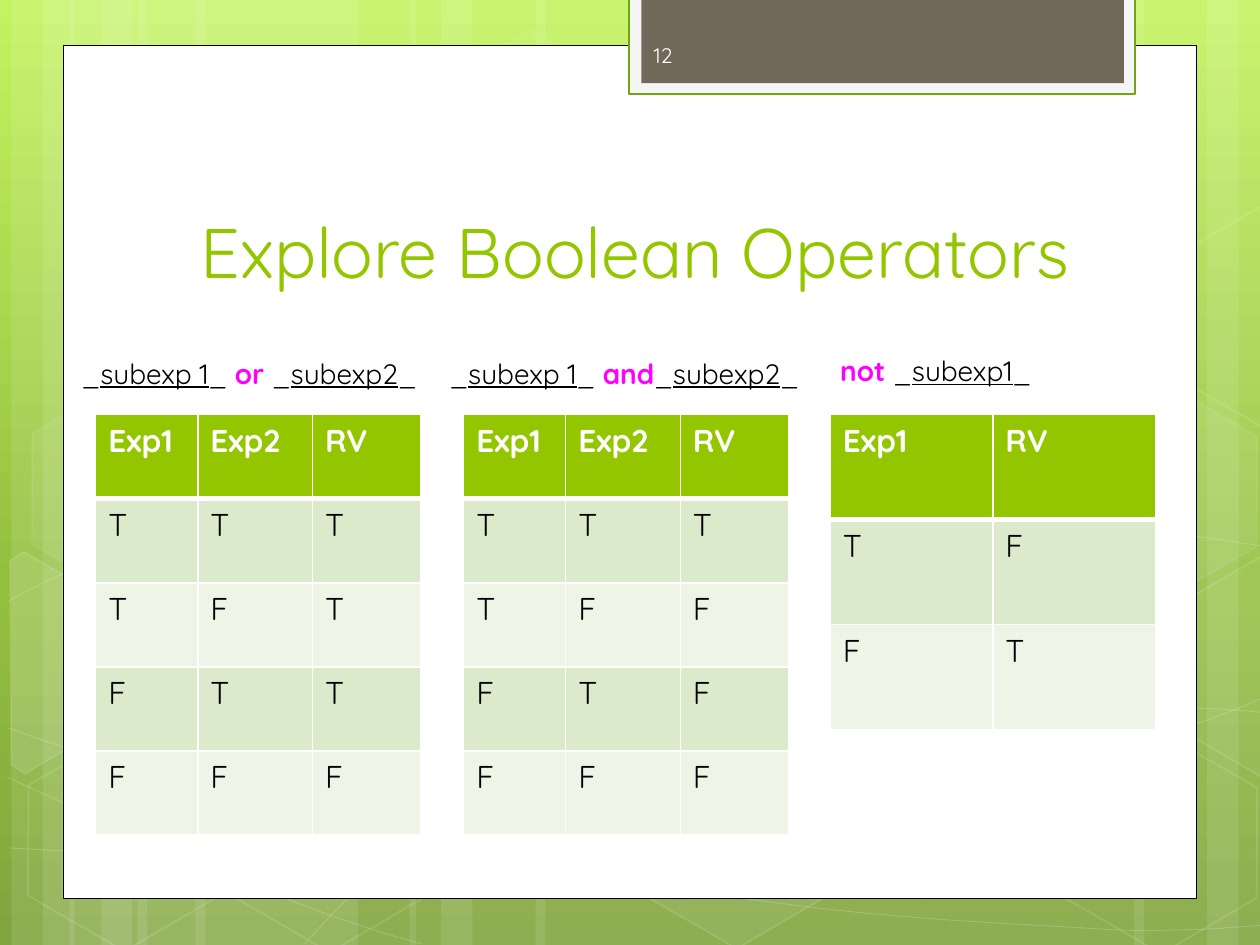
"""Builds the slide on Boolean operators with its three truth tables."""
from copy import deepcopy
from itertools import product

from lxml.etree import SubElement
from pptx import Presentation
from pptx.dml.color import RGBColor
from pptx.enum.shapes import MSO_SHAPE as Preset
from pptx.enum.text import MSO_ANCHOR as Anchor, PP_ALIGN as Align
from pptx.oxml.ns import qn
from pptx.util import Inches, Pt

WHITE = RGBColor(0xFF, 0xFF, 0xFF)
CHALK = RGBColor(0xFE, 0xFE, 0xFE)
BLACK = RGBColor(0x00, 0x00, 0x00)
LIME = RGBColor(0x94, 0xC6, 0x00)
MAGENTA = RGBColor(0xFF, 0x00, 0xFF)
TAUPE = RGBColor(0x71, 0x68, 0x5A)
SMOKE = RGBColor(0xF5, 0xF5, 0xF5)
MOSS = RGBColor(0x74, 0xA5, 0x10)
BANDS = (RGBColor(0xDC, 0xEA, 0xCC), RGBColor(0xEE, 0xF5, 0xE7))
BACKDROP = ((0, RGBColor(0xC3, 0xF3, 0x5F)), (0.62, RGBColor(0x93, 0xBF, 0x3F)),
            (1, RGBColor(0x81, 0xA5, 0x3E)))
COLUMNS, ROWS = 10, 7.5


class Deck:
    def __init__(self, font):
        self.font = font
        self.file = Presentation()
        self.file.slide_width, self.file.slide_height = Inches(10), Inches(7.5)
        self.slide = self.file.slides.add_slide(self.file.slide_layouts[6])
        self.shapes = self.slide.shapes

    def x(self, columns):
        return round(self.file.slide_width * columns / COLUMNS)

    def y(self, rows):
        return round(self.file.slide_height * rows / ROWS)

    def box(self, left, top, width, height):
        return self.x(left), self.y(top), self.x(width), self.y(height)

    def backdrop(self, stops):
        fill = self.slide.background.fill
        fill.gradient()
        fill.gradient_angle = 270
        first = next(self.slide.element.iter(qn("a:gs")))
        first.addnext(deepcopy(first))
        for stop, (position, color) in zip(fill.gradient_stops, stops):
            stop.position, stop.color.rgb = position, color

    def paint(self, shape, fill=None, alpha=100, line=None, weight=1, line_alpha=100):
        shape.shadow.inherit = False
        properties = shape.element.spPr
        for part, holder, color, opacity in ((shape.fill, "", fill, alpha),
                                             (shape.line.fill, "a:ln/", line, line_alpha)):
            if color is None or opacity == 0:
                part.background()
                continue
            part.solid()
            part.fore_color.rgb = color
            if opacity < 100:
                tint = properties.xpath(holder + "a:solidFill/a:srgbClr")[0]
                SubElement(tint, qn("a:alpha"), val=str(opacity * 1000))
        if line is not None:
            shape.line.width = Pt(weight)

    def preset(self, kind, box, rotation=0, adjust=(), **style):
        shape = self.shapes.add_shape(kind, *self.box(*box))
        shape.rotation = rotation
        for index, value in enumerate(adjust):
            shape.adjustments[index] = value
        self.paint(shape, **style)

    def outline(self, points, close, **style):
        (left, top), *rest = [(self.x(px), self.y(py)) for px, py in points]
        builder = self.shapes.build_freeform(left, top)
        builder.add_line_segments(rest, close=close)
        shape = builder.convert_to_shape()
        self.paint(shape, **style)
        return shape

    def curve(self, knots, **style):
        shape = self.outline(knots, False, **style)
        track = next(shape.element.iter(qn("a:path")))
        for index, segment in enumerate(track.findall(qn("a:lnTo"))):
            if index % 3 == 0:
                bend = SubElement(track, qn("a:cubicBezTo"))
            bend.append(segment[0])
            track.remove(segment)

    def run(self, paragraph, text, size, color, bold=False, underline=False):
        run = paragraph.add_run()
        run.text = text
        font = run.font
        font.name, font.size, font.color.rgb = self.font, Pt(size), color
        font.bold, font.underline = bold, underline

    def text(self, box, runs, size, align=Align.LEFT, anchor=Anchor.TOP):
        frame = self.shapes.add_textbox(*self.box(*box)).text_frame
        frame.word_wrap, frame.vertical_anchor = True, anchor
        frame.paragraphs[0].alignment = align
        for words, style in runs:
            self.run(frame.paragraphs[0], words, size, **style)

    def border(self, cell, row):
        weights = {"L": 1, "R": 1, "T": 1, "B": 1 if row else 3}
        if row == 1:
            del weights["T"]
        properties = cell._tc.get_or_add_tcPr()
        for side, weight in weights.items():
            edge = SubElement(properties, qn("a:ln" + side), w=str(Pt(weight)))
            SubElement(SubElement(edge, qn("a:solidFill")), qn("a:srgbClr"), val=str(WHITE))

    def truth_table(self, left, top, widths, height, rows):
        box = self.box(left, top, sum(widths), height)
        table = self.shapes.add_table(len(rows), len(widths), *box).table
        for column, width in zip(table.columns, widths):
            column.width = self.x(width)
        for r, c in product(range(len(rows)), range(len(widths))):
            table.rows[r].height = self.y(height / len(rows))
            cell = table.cell(r, c)
            self.border(cell, r)
            cell.fill.solid()
            cell.fill.fore_color.rgb = BANDS[(r - 1) % 2] if r else LIME
            self.run(cell.text_frame.paragraphs[0], rows[r][c], 18,
                     BLACK if r else WHITE, bold=r == 0)


deck = Deck("Quicksand")
deck.backdrop(BACKDROP)

STRIPES = ((1.09, 1.75, 0), (0.09, 0.5, 0), (0.34, 0.83, 0), (1.55, 1.75, 0),
           (0.55, 0.5, 0), (0.8, 0.83, 0), (7.33, 1.75, 180), (9.58, 0.5, 180),
           (9, 0.83, 180), (4.25, 3.08, 0), (3.25, 0.5, 0), (3.5, 0.83, 0))
for left, width, turn in STRIPES:
    deck.preset(Preset.RECTANGLE, (left, 0, width, ROWS), turn, fill=WHITE, alpha=10)

WAVES = (
    ((0.07, 6.73), (0.61, 6.76), (1.15, 6.79), (1.9, 6.78), (2.65, 6.77), (3.58, 6.75),
     (4.58, 6.65), (5.58, 6.55), (7, 6.36), (7.92, 6.17), (8.83, 5.98), (9.77, 5.68),
     (10.07, 5.51)),
    ((0.07, 4.77), (0.36, 4.61), (0.65, 4.46), (1.21, 4.31), (1.78, 4.16), (2.59, 3.94),
     (3.47, 3.87), (4.36, 3.8), (5.44, 3.79), (6.54, 3.87), (7.64, 3.95), (9.47, 4.26),
     (10.07, 4.34)),
    ((0.06, 6.17), (1.27, 6.72), (2.47, 7.27), (3.35, 7.49)),
    ((0.07, 5.78), (0.38, 5.89), (0.7, 6), (1.28, 6.16), (1.86, 6.31), (2.73, 6.56),
     (3.57, 6.73), (4.4, 6.9), (5.45, 7.08), (6.28, 7.18), (7.11, 7.29), (8, 7.33),
     (8.53, 7.36), (9.06, 7.4), (9.19, 7.38), (9.45, 7.38), (9.71, 7.37), (9.89, 7.35),
     (10.07, 7.34)),
    ((2.42, 7.49), (2.6, 7.29), (2.78, 7.09), (3.02, 6.91), (3.26, 6.72), (3.6, 6.53),
     (3.88, 6.39), (4.16, 6.25), (4.33, 6.19), (4.69, 6.09), (5.06, 5.99), (5.73, 5.85),
     (6.08, 5.78), (6.44, 5.71), (6.49, 5.71), (6.8, 5.69), (7.11, 5.66), (7.6, 5.63),
     (7.94, 5.62), (8.29, 5.61), (8.86, 5.62), (8.86, 5.62), (9.08, 5.62), (9.31, 5.62),
     (9.53, 5.62), (9.71, 5.63), (9.88, 5.64), (9.97, 5.65), (10.06, 5.66), (10.03, 5.65),
     (10.06, 5.66)),
)
for wave in WAVES:
    deck.curve(wave, line=WHITE, weight=0.5, line_alpha=20)

HEXAGONS = ((3.34, 0.36, 4, 8), (4.97, 5.89, 6, 12), (0.11, 5.91, 0, 12), (0.14, 3.12, 7, 8),
            (1.74, 5.92, 0, 12), (7.53, 4.53, 10, 12), (8.34, 5.93, 0, 12), (8.34, 3.14, 7, 8))
for left, top, alpha, line_alpha in HEXAGONS:
    deck.preset(Preset.HEXAGON, (left, top, 1.75, 1.52), 30, (0.285, 1.155),
                fill=WHITE, alpha=alpha, line=WHITE, line_alpha=line_alpha)

LEFT_EDGE = ((0.08, 4.45), (0.19, 4.38), (0.96, 4.83), (0.95, 5.7), (0.2, 6.14), (0.09, 6.07))
RIGHT_EDGE = ((9.26, 2.07), (10.02, 1.63), (10.1, 1.68), (10.09, 3.35), (10.02, 3.39),
              (9.26, 2.95))
LOWER_RIGHT = [(px, py + 2.78) for px, py in RIGHT_EDGE]
for edge, alpha in ((LEFT_EDGE, 10), (LOWER_RIGHT, 4), (RIGHT_EDGE, 0)):
    deck.outline(edge, True, fill=WHITE, alpha=alpha, line=WHITE, line_alpha=12)

deck.preset(Preset.RECTANGLE, (0.5, 0.36, 9, 6.77), fill=WHITE, line=BLACK, weight=0.5)
deck.preset(Preset.RECTANGLE, (4.99, -0.02, 4.02, 0.77), fill=SMOKE, line=MOSS, weight=1.25)
deck.preset(Preset.RECTANGLE, (5.09, -0.02, 3.83, 0.68), fill=TAUPE)

PLAIN = {"color": BLACK}
BLANK = {"color": BLACK, "underline": True}
OPERATOR = {"color": MAGENTA, "bold": True}
deck.text((0.52, 1.12, 9.04, 1.25), [("Explore Boolean Operators", {"color": LIME})], 40,
          Align.CENTER, Anchor.BOTTOM)
deck.text((5.09, 0.24, 1.46, 0.4), [("12", {"color": CHALK})], 12, anchor=Anchor.MIDDLE)

PAIRS = ("TT", "TF", "FT", "FF")
BINARY = ((0.76, 0.55, 2.95, "or ", "TTTF"), (3.68, 3.47, 3.1, "and", "TFFF"))
for left, caption_left, caption_width, operator, results in BINARY:
    rows = [("Exp1", "Exp2", "RV")] + [pair + result for pair, result in zip(PAIRS, results)]
    deck.truth_table(left, 3.29, (0.81, 0.91, 0.86), 3.34, rows)
    deck.text((caption_left, 2.78, caption_width, 0.37),
              [("_", PLAIN), ("subexp 1", BLANK), ("_ ", PLAIN), (operator, OPERATOR),
               ("_", PLAIN), ("subexp2", BLANK), ("_", PLAIN)], 16)

deck.truth_table(6.59, 3.29, (1.29, 1.29), 2.5, [("Exp1", "RV"), "TF", "FT"])
deck.text((6.57, 2.76, 2.95, 0.37),
          [("not ", OPERATOR), ("_", PLAIN), ("subexp1", BLANK), ("_", PLAIN)], 16)
deck.file.save("out.pptx")
